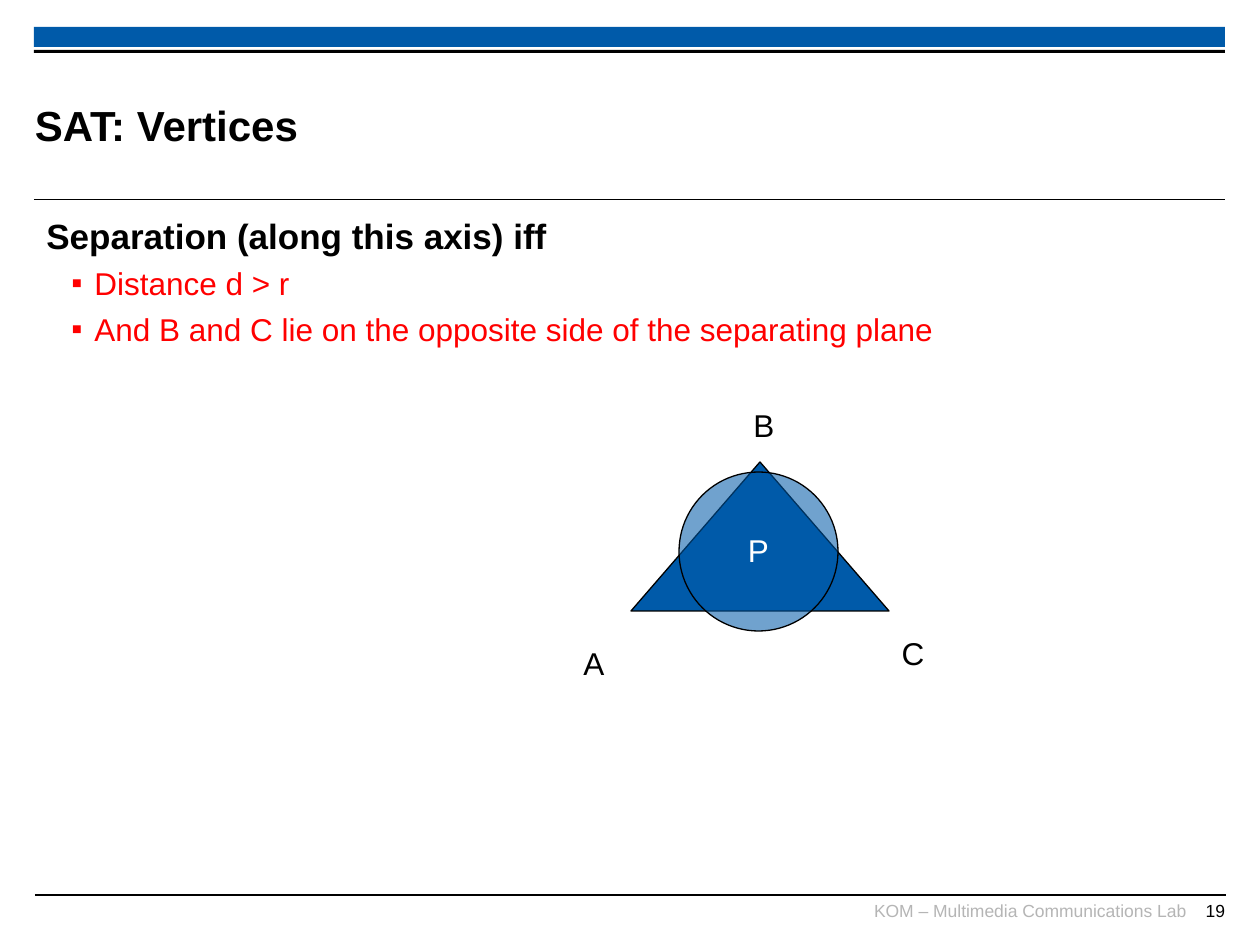
from dataclasses import dataclass

from lxml import etree
from pptx import Presentation
from pptx import util as u
from pptx.dml.color import RGBColor
from pptx.enum import shapes, text
from pptx.oxml.ns import qn

PX = 914400 / 126


@dataclass(frozen=True)
class Theme:
    font: str = "Arial"
    blue: str = "005AA9"
    black: str = "000000"
    white: str = "FFFFFF"
    red: str = "FF0000"
    grey: str = "B5B5B5"
    title: int = 24
    heading: int = 20
    body: int = 18
    footer: int = 10
    rule: float = 0.6
    outline: float = 0.75
    bullet_gap: float = 4.5
    label_spacing: float = 0.93


def emu(*lengths):
    return [u.Emu(round(n * PX)) for n in lengths]


def assign(obj, values):
    for name, value in values.items():
        setattr(obj, name, value)


class Deck:
    def __init__(self, prs, theme):
        self.theme = theme
        self.s = prs.slides.add_slide(prs.slide_layouts[6])

    def add_text(self, p, words, size, color, bold=False, **layout):
        assign(p, layout)
        r = p.add_run()
        r.text = words
        assign(r.font, {"name": self.theme.font, "size": u.Pt(size), "bold": bold})
        r.font.color.rgb = RGBColor.from_string(color)

    def frame(self, box, inset=None, **layout):
        tf = self.s.shapes.add_textbox(*emu(*box)).text_frame
        assign(tf, {"word_wrap": True, **layout})
        if inset is not None:
            sides = ("left", "top", "right", "bottom")
            assign(tf, {f"margin_{side}": emu(inset)[0] for side in sides})
        return tf

    def line(self, x1, y1, x2, y2):
        c = self.s.shapes.add_connector(shapes.MSO_CONNECTOR.STRAIGHT, *emu(x1, y1, x2, y2))
        c.line.width = u.Pt(self.theme.rule)
        c.line.color.rgb = RGBColor.from_string(self.theme.black)
        etree.SubElement(c._element.spPr, qn("a:effectLst"))

    def shape(self, kind, box, fill, outlined=False, opacity=None):
        sp = self.s.shapes.add_shape(kind, *emu(*box))
        sp.shadow.inherit = False
        sp.fill.solid()
        sp.fill.fore_color.rgb = RGBColor.from_string(fill)
        if outlined:
            sp.line.width = u.Pt(self.theme.outline)
            sp.line.color.rgb = RGBColor.from_string(self.theme.black)
        else:
            sp.line.fill.background()
        if opacity is not None:
            color = sp._element.spPr.find(qn("a:solidFill"))[0]
            etree.SubElement(color, qn("a:alpha"), val=str(opacity * 1000))
        return sp

    def label(self, tf, words, color):
        self.add_text(tf.paragraphs[0], words, self.theme.body, color,
                      alignment=text.PP_ALIGN.CENTER, line_spacing=self.theme.label_spacing)

    def vertex(self, words, x, y):
        tf = self.frame((x, y, 48, 49), word_wrap=False,
                        auto_size=text.MSO_AUTO_SIZE.SHAPE_TO_FIT_TEXT)
        self.label(tf, words, self.theme.black)

    def footer(self, words, box, color):
        p = self.frame(box, inset=0).paragraphs[0]
        self.add_text(p, words, self.theme.footer, color, alignment=text.PP_ALIGN.RIGHT)

    def bullet(self, tf, words):
        p = tf.add_paragraph()
        pPr = p._p.get_or_add_pPr()
        left, hang = emu(48, -23)
        pPr.set("marL", str(left))
        pPr.set("indent", str(hang))
        etree.SubElement(pPr, qn("a:buFont"), typeface=self.theme.font)
        etree.SubElement(pPr, qn("a:buChar"), char="▪")
        self.add_text(p, words, self.theme.body, self.theme.red,
                      level=1, space_before=u.Pt(self.theme.bullet_gap))


def main():
    prs = Presentation()
    prs.slide_width, prs.slide_height = emu(1260, 945)
    theme = Theme()
    deck = Deck(prs, theme)
    kinds = shapes.MSO_SHAPE

    deck.line(35, 895, 1226, 895)
    deck.shape(kinds.RECTANGLE, (34, 27, 1191, 20), theme.blue)
    deck.line(34, 200, 1225, 200)
    deck.shape(kinds.RECTANGLE, (34, 50, 1191, 3), theme.black)
    deck.footer("KOM – Multimedia Communications Lab", (858, 900, 328, 31), theme.grey)
    deck.footer("19", (1171, 900, 54, 31), theme.black)

    body = deck.frame((34, 208, 1191, 680))
    deck.add_text(body.paragraphs[0], "Separation (along this axis) iff",
                  theme.heading, theme.black, bold=True)
    for words in ("Distance d > r",
                  "And B and C lie on the opposite side of the separating plane"):
        deck.bullet(body, words)

    title = deck.frame((35, 67, 948, 116), inset=0, vertical_anchor=text.MSO_ANCHOR.MIDDLE)
    deck.add_text(title.paragraphs[0], "SAT: Vertices", theme.title, theme.black, bold=True)

    deck.shape(kinds.ISOSCELES_TRIANGLE, (631, 462, 258, 149), theme.blue, outlined=True)
    for words, x, y in (("A", 570, 641), ("B", 740, 403), ("C", 889, 631)):
        deck.vertex(words, x, y)

    sphere = deck.shape(kinds.OVAL, (679, 472, 159, 159), theme.blue, outlined=True, opacity=56)
    tf = sphere.text_frame
    assign(tf, {"word_wrap": False, "vertical_anchor": text.MSO_ANCHOR.MIDDLE})
    deck.label(tf, "P", theme.white)

    prs.save("out.pptx")


if __name__ == "__main__":
    main()
